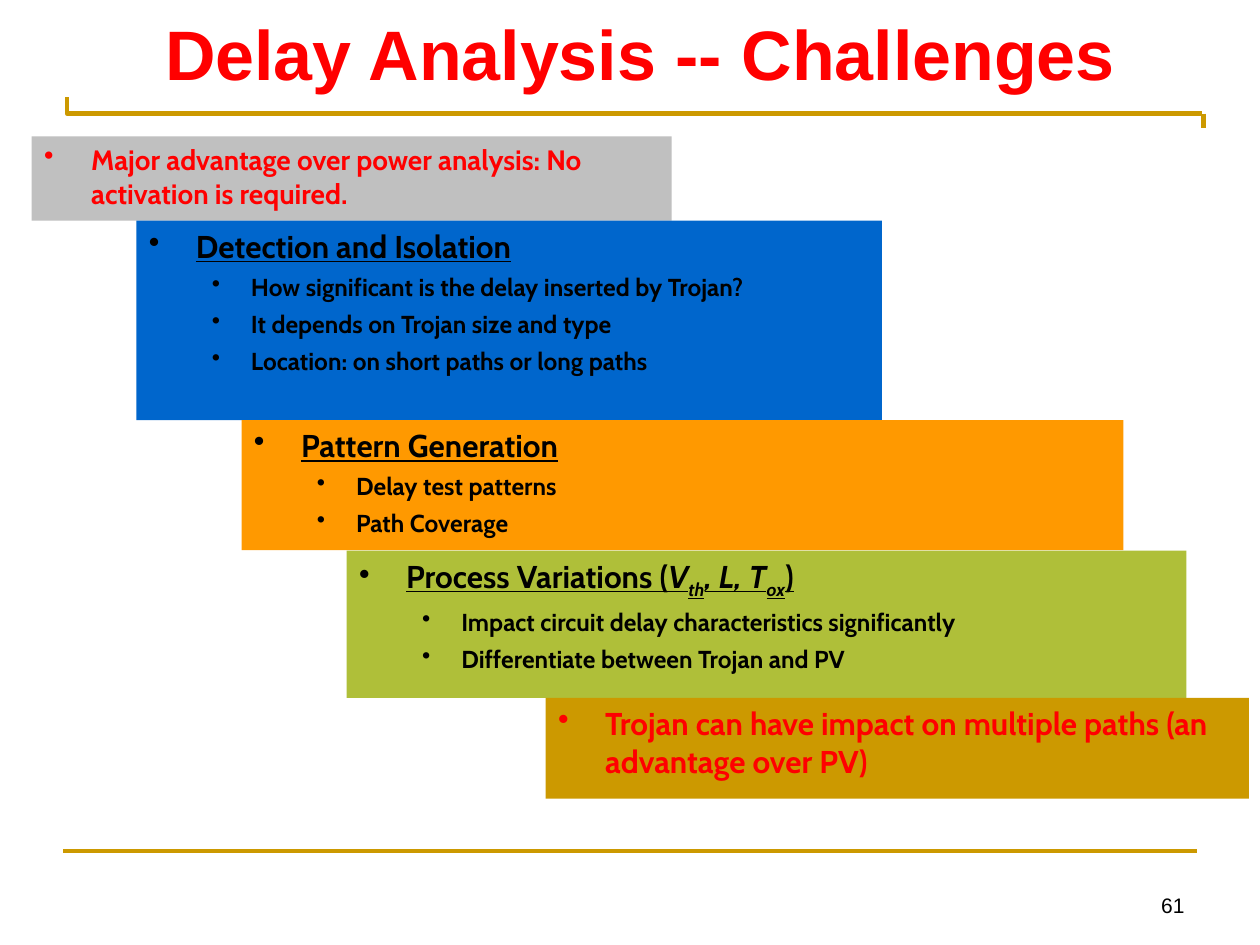
"""Build the slide on the challenges of delay analysis as a staircase of bullet boxes."""

from dataclasses import dataclass

from lxml.etree import SubElement
from pptx import Presentation
from pptx.dml.color import RGBColor
from pptx.enum.shapes import MSO_CONNECTOR, MSO_SHAPE
from pptx.enum.text import MSO_ANCHOR, MSO_AUTO_SIZE, PP_ALIGN
from pptx.oxml.ns import qn
from pptx.util import Cm, Pt

COLORS = {
    "red": "FF0000",
    "black": "000000",
    "gray": "C0C0C0",
    "blue": "0066CC",
    "orange": "FF9900",
    "green": "AFBF39",
    "gold": "CC9900",
}
BODY_FONT = "Cabin"
TITLE_FONT = "Arial"
RULE_WIDTH = Pt(2.5)


@dataclass(frozen=True)
class Span:
    text: str
    italic: bool = False
    subscript: bool = False


@dataclass(frozen=True)
class Step:
    left: float
    top: float
    width: float
    height: float
    fill: str
    heading: tuple[Span, ...]
    details: tuple[str, ...] = ()
    size: int = 18
    color: str = "black"


STEPS = (
    Step(0.64, 2.75, 12.9, 1.7, "gray",
         (Span("Major advantage over power analysis: No activation is required."),),
         size=16, color="red"),
    Step(2.75, 4.45, 15.03, 4.02, "blue", (Span("Detection and Isolation"),),
         ("How significant is the delay inserted by Trojan?",
          "It depends on Trojan size and type",
          "Location: on short paths or long paths")),
    Step(4.87, 8.47, 17.78, 2.62, "orange", (Span("Pattern Generation"),),
         ("Delay test patterns", "Path Coverage")),
    Step(6.99, 11.1, 16.93, 2.97, "green",
         (Span("Process Variations ("), Span("V", True), Span("th", True, True),
          Span(", L, T", True), Span("ox", True, True), Span(")")),
         ("Impact circuit delay characteristics significantly",
          "Differentiate between Trojan and PV")),
    Step(11, 14.07, 14.18, 2.03, "gold",
         (Span("Trojan can have impact on multiple paths (an advantage over PV)"),),
         color="red"),
)


def rgb(name: str) -> RGBColor:
    return RGBColor.from_string(COLORS[name])


def format_font(font, name: str, size: float, color: str, bold: bool = False) -> None:
    font.name = name
    font.size = Pt(size)
    font.bold = bold
    font.color.rgb = rgb(color)


def add_rule(slide, start: tuple[float, float], end: tuple[float, float]) -> None:
    connector = slide.shapes.add_connector(
        MSO_CONNECTOR.STRAIGHT, *(Cm(value) for value in start + end))
    connector.line.color.rgb = rgb("gold")
    connector.line.width = RULE_WIDTH
    SubElement(connector._element.spPr, qn("a:effectLst"))


def add_title_bracket(slide) -> None:
    builder = slide.shapes.build_freeform(Cm(1.35), Cm(1.96))
    builder.add_line_segments([(Cm(1.35), Cm(2.29)), (Cm(24.23), Cm(2.29))], close=False)
    bracket = builder.convert_to_shape()
    bracket.shadow.inherit = False
    bracket.fill.background()
    bracket.line.color.rgb = rgb("gold")
    bracket.line.width = RULE_WIDTH


def set_title(slide, text: str) -> None:
    title = slide.shapes.title
    title.left, title.top, title.width, title.height = Cm(1.47), Cm(0.2), Cm(22.86), Cm(1.7)
    frame = title.text_frame
    frame.text = text
    frame.auto_size = MSO_AUTO_SIZE.NONE
    frame.vertical_anchor = MSO_ANCHOR.BOTTOM
    frame.margin_left = frame.margin_right = frame.margin_top = frame.margin_bottom = 0
    paragraph = frame.paragraphs[0]
    paragraph.alignment = PP_ALIGN.CENTER
    format_font(paragraph.runs[0].font, TITLE_FONT, 40, "red", bold=True)


def add_page_number(slide, text: str) -> None:
    box = slide.shapes.add_textbox(Cm(18.21), Cm(17.35), Cm(5.92), Cm(1.27))
    frame = box.text_frame
    frame.text = text
    frame.word_wrap = True
    frame.vertical_anchor = MSO_ANCHOR.BOTTOM
    paragraph = frame.paragraphs[0]
    paragraph.alignment = PP_ALIGN.RIGHT
    format_font(paragraph.runs[0].font, TITLE_FONT, 12, "black")


def set_bullet(paragraph, indent: float, hanging: float) -> None:
    paragraph.alignment = PP_ALIGN.LEFT
    properties = paragraph._p.get_or_add_pPr()
    properties.set("marL", str(Cm(indent)))
    properties.set("indent", str(-Cm(hanging)))
    SubElement(properties, qn("a:buChar")).set("char", "•")


def add_step(slide, step: Step) -> None:
    box = slide.shapes.add_shape(
        MSO_SHAPE.RECTANGLE, Cm(step.left), Cm(step.top), Cm(step.width), Cm(step.height))
    box.shadow.inherit = False
    box.fill.solid()
    box.fill.fore_color.rgb = rgb(step.fill)
    box.line.fill.background()
    frame = box.text_frame
    frame.word_wrap = True
    frame.vertical_anchor = MSO_ANCHOR.TOP

    heading = frame.paragraphs[0]
    set_bullet(heading, 0.95, 0.95)
    for span in step.heading:
        run = heading.add_run()
        run.text = span.text
        format_font(run.font, BODY_FONT, step.size, step.color, bold=True)
        run.font.underline = bool(step.details)
        run.font.italic = span.italic
        if span.subscript:
            run.font._element.set("baseline", "-25000")

    for text in step.details:
        detail = frame.add_paragraph()
        detail.text = text
        detail.level = 1
        set_bullet(detail, 2.06, 0.79)
        detail.space_before = Pt(4.2)
        format_font(detail.runs[0].font, BODY_FONT, 14, step.color, bold=True)


def main() -> None:
    presentation = Presentation()
    presentation.slide_width, presentation.slide_height = Cm(25.4), Cm(19.05)
    slide = presentation.slides.add_slide(presentation.slide_layouts[5])
    add_title_bracket(slide)
    add_rule(slide, (1.27, 17.15), (24.13, 17.15))
    add_rule(slide, (24.26, 2.29), (24.26, 2.59))
    set_title(slide, "Delay Analysis -- Challenges")
    add_page_number(slide, "61")
    for step in STEPS:
        add_step(slide, step)
    presentation.save("out.pptx")


if __name__ == "__main__":
    main()
